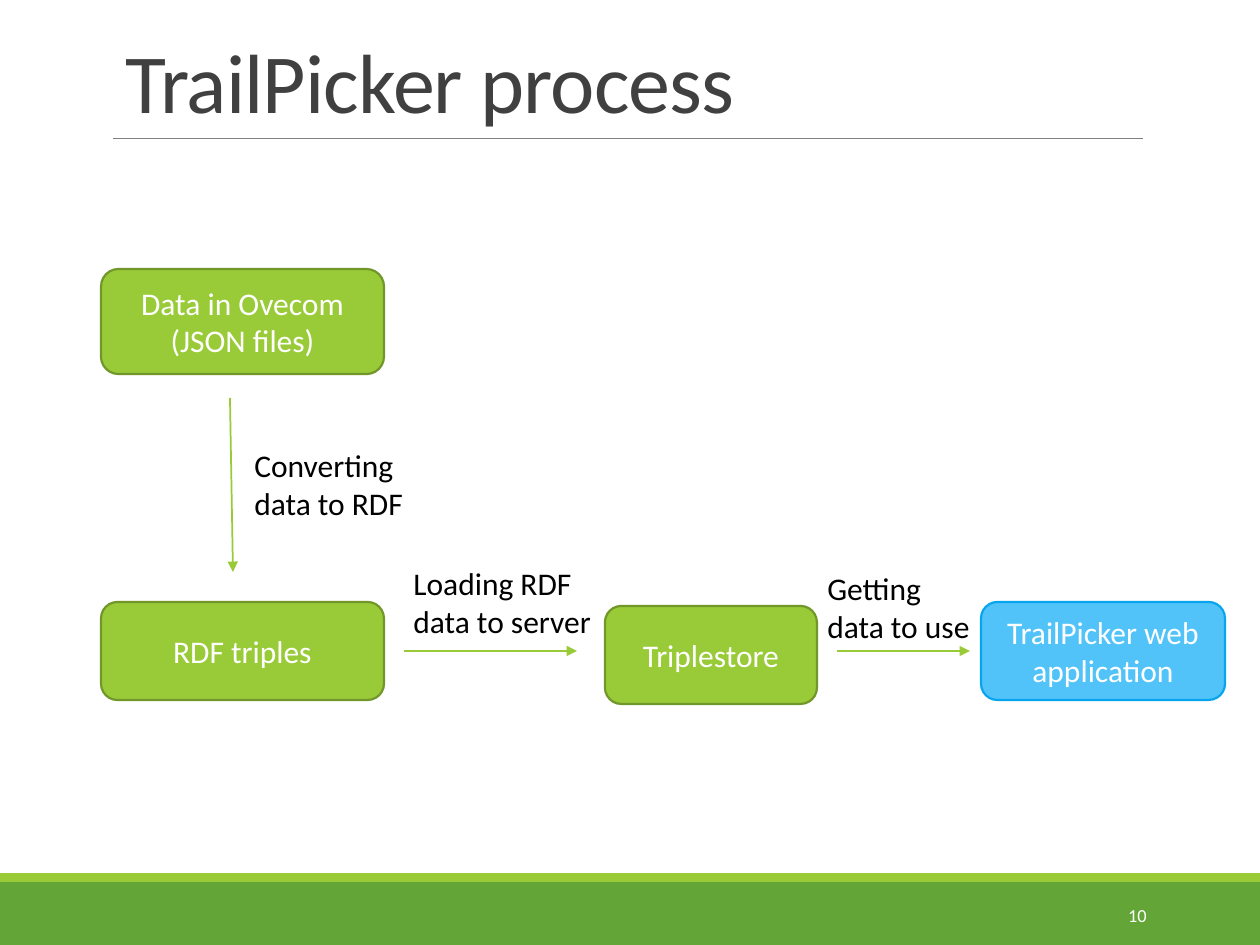
from dataclasses import dataclass

from lxml import etree
from pptx import Presentation
from pptx.dml.color import RGBColor
from pptx.enum.shapes import MSO_CONNECTOR, MSO_SHAPE
from pptx.enum.text import MSO_ANCHOR, PP_ALIGN
from pptx.oxml.ns import qn
from pptx.util import Emu, Pt

RECT, ROUND = MSO_SHAPE.RECTANGLE, MSO_SHAPE.ROUNDED_RECTANGLE
LINE = MSO_CONNECTOR.STRAIGHT
TOP, MID, BOTTOM = MSO_ANCHOR.TOP, MSO_ANCHOR.MIDDLE, MSO_ANCHOR.BOTTOM
LEFT, CENTER, RIGHT = PP_ALIGN.LEFT, PP_ALIGN.CENTER, PP_ALIGN.RIGHT

LIME = RGBColor(0x99, 0xCB, 0x38)
OLIVE = RGBColor(0x71, 0x96, 0x29)
GREEN = RGBColor(0x63, 0xA5, 0x37)
SKY = RGBColor(0x51, 0xC3, 0xF9)
BLUE = RGBColor(0x08, 0xA5, 0xEF)
GRAY = RGBColor(0x80, 0x80, 0x80)
DARK = RGBColor(0x40, 0x40, 0x40)
BLACK = RGBColor(0, 0, 0)
WHITE = RGBColor(0xFF, 0xFF, 0xFF)

FONT = "Calibri"
SCALE = 914400 / 126


@dataclass
class Box:
    x: int
    y: int
    w: int
    h: int

    def emu(self) -> list[Emu]:
        return [px(n) for n in (self.x, self.y, self.w, self.h)]


@dataclass
class Step:
    text: str
    box: Box
    fill: RGBColor = LIME
    edge: RGBColor = OLIVE


@dataclass
class Label:
    text: str
    box: Box
    size: float = 18
    color: RGBColor = BLACK
    align: PP_ALIGN = LEFT
    anchor: MSO_ANCHOR = TOP


@dataclass
class Link:
    x1: int
    y1: int
    x2: int
    y2: int
    color: RGBColor = LIME
    width: float = 1
    arrow: bool = True


BANDS = [(Box(0, 882, 1260, 63), GREEN), (Box(0, 873, 1260, 9), LIME)]
STEPS = [
    Step("Data in Ovecom\n(JSON files)", Box(101, 269, 283, 105)),
    Step("RDF triples", Box(101, 602, 283, 98)),
    Step("Triplestore", Box(605, 606, 212, 98)),
    Step("TrailPicker web application", Box(981, 602, 244, 98), SKY, BLUE),
]
LINKS = [
    Link(113, 138, 1143, 138, GRAY, 0.5, False),
    Link(230, 398, 233, 572),
    Link(404, 651, 577, 651),
    Link(837, 651, 970, 651),
]
TITLE = Label("TrailPicker process", Box(113, 39, 1040, 98), 48, DARK, LEFT, BOTTOM)
LABELS = [
    Label("Converting data to RDF", Box(242, 440, 217, 89)),
    Label("Loading RDF data to server", Box(401, 558, 217, 89)),
    Label("Getting data to use", Box(815, 563, 176, 89)),
    Label("10", Box(1023, 890, 136, 50), 10.5, WHITE, RIGHT, MID),
]


def px(n: int) -> Emu:
    return Emu(round(n * SCALE))


def write(frame, text: str, size: float, color: RGBColor, align, anchor) -> None:
    frame.text = text
    frame.word_wrap = True
    frame.vertical_anchor = anchor
    for para in frame.paragraphs:
        para.alignment = align
        for run in para.runs:
            run.font.name = FONT
            run.font.size = Pt(size)
            run.font.color.rgb = color


def draw_shape(slide, kind, box: Box, fill: RGBColor):
    shape = slide.shapes.add_shape(kind, *box.emu())
    shape.shadow.inherit = False
    shape.fill.solid()
    shape.fill.fore_color.rgb = fill
    shape.line.fill.background()
    return shape


def draw_step(slide, step: Step) -> None:
    shape = draw_shape(slide, ROUND, step.box, step.fill)
    shape.line.color.rgb = step.edge
    shape.line.width = Pt(1.25)
    write(shape.text_frame, step.text, 18, WHITE, CENTER, MID)


def draw_label(slide, label: Label):
    frame = slide.shapes.add_textbox(*label.box.emu()).text_frame
    write(frame, label.text, label.size, label.color, label.align, label.anchor)
    return frame


def draw_title(slide, label: Label) -> None:
    para = draw_label(slide, label).paragraphs[0]
    para.line_spacing = 0.85
    para.runs[0].font._element.set("spc", "-50")


def draw_link(slide, link: Link) -> None:
    ends = [px(n) for n in (link.x1, link.y1, link.x2, link.y2)]
    line = slide.shapes.add_connector(LINE, *ends)
    line.line.color.rgb = link.color
    line.line.width = Pt(link.width)
    if link.arrow:
        etree.SubElement(line.line._get_or_add_ln(), qn("a:tailEnd"), type="triangle")
    etree.SubElement(line._element.spPr, qn("a:effectLst"))


def main() -> None:
    deck = Presentation()
    deck.slide_width, deck.slide_height = px(1260), px(945)
    slide = deck.slides.add_slide(deck.slide_layouts[6])
    for box, fill in BANDS:
        draw_shape(slide, RECT, box, fill)
    draw_title(slide, TITLE)
    for step in STEPS:
        draw_step(slide, step)
    for link in LINKS:
        draw_link(slide, link)
    for label in LABELS:
        draw_label(slide, label)
    deck.save("out.pptx")


if __name__ == "__main__":
    main()
